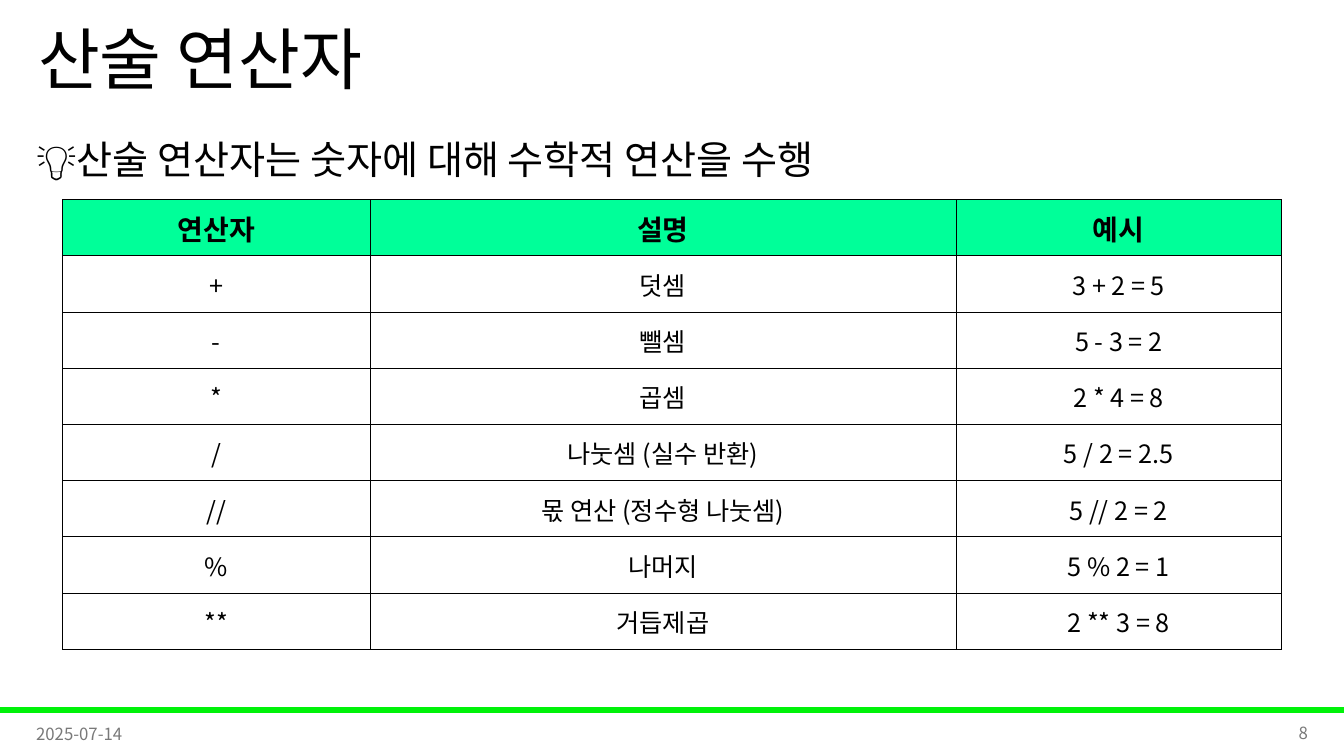
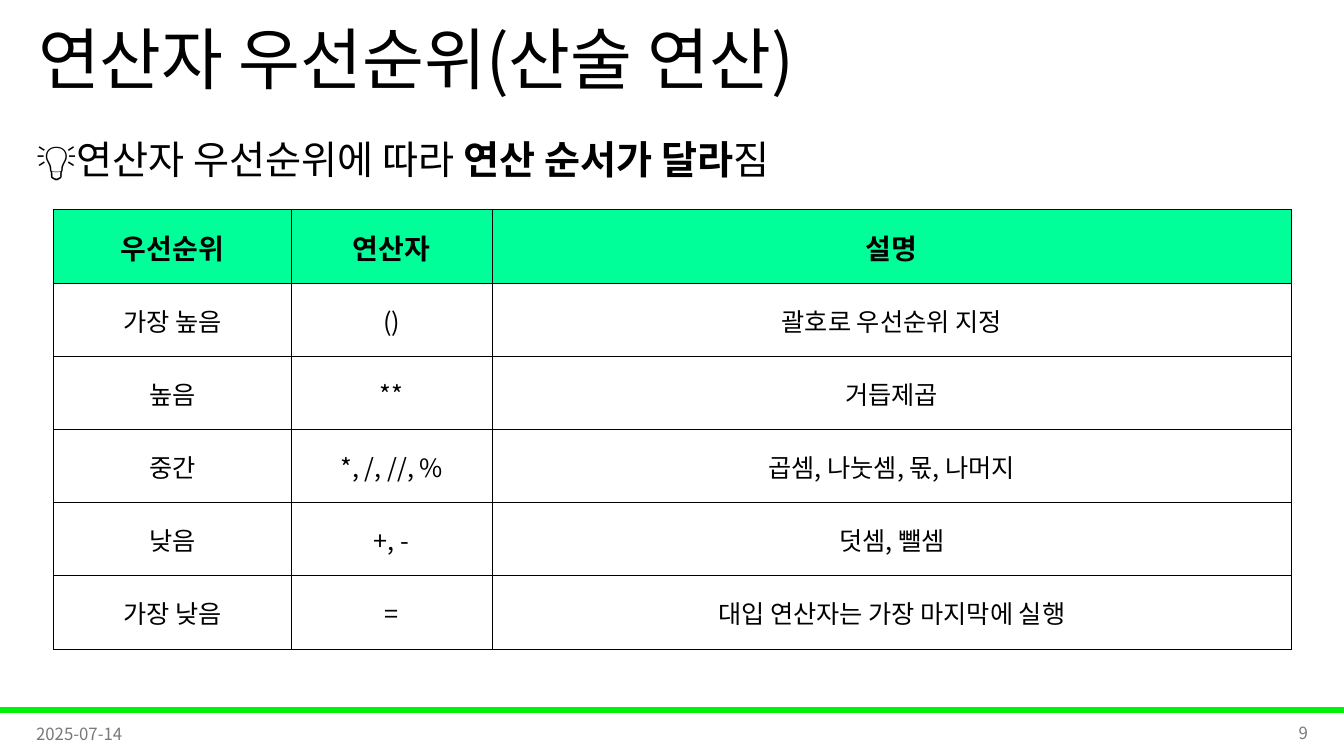
"""Build two slides on arithmetic operators and their precedence."""
from dataclasses import dataclass
from typing import Any, NamedTuple

from lxml.etree import SubElement
from pptx import Presentation
from pptx.dml.color import RGBColor
from pptx.enum.shapes import MSO_SHAPE
from pptx.enum.text import MSO_ANCHOR, PP_ALIGN
from pptx.oxml.ns import qn
from pptx.util import Inches, Pt


@dataclass(frozen=True)
class Theme:
    font: str = "Noto Sans CJK KR"
    ink: str = "000000"
    muted: str = "797979"
    header_fill: str = "00FF99"
    band: str = "00F209"
    title_size: int = 48
    lead_size: int = 28
    header_size: int = 20
    cell_size: int = 18
    footer_size: int = 12
    border_width: float = 0.5


class Area(NamedTuple):
    left: float
    top: float
    width: float
    height: float

    def lengths(self) -> list[int]:
        return [Inches(value) for value in self]


class Span(NamedTuple):
    text: str
    bold: bool = False


class Style(NamedTuple):
    size: int
    color: str
    paragraph: dict[str, Any]


@dataclass(frozen=True)
class Grid:
    area: Area
    columns: tuple[float, ...]
    rows: tuple[tuple[str, ...], ...]


@dataclass(frozen=True)
class Page:
    number: int
    title: str
    lead: tuple[Span, ...]
    grid: Grid


THEME = Theme()
SLIDE_WIDTH, SLIDE_HEIGHT = 13.33, 7.5
DATE = "2025-07-14"
TITLE_AREA = Area(0.28, 0, 11.5, 1.25)
LEAD_AREA = Area(0.26, 1.06, 12.8, 0.88)
BAND_AREA = Area(0, 7.02, SLIDE_WIDTH, 0.05)
DATE_AREA = Area(0.26, 7.08, 3, 0.4)
NUMBER_AREA = Area(10.07, 7.07, 3, 0.4)

TITLE = Style(THEME.title_size, THEME.ink, {"line_spacing": 0.9})
LEAD = Style(THEME.lead_size, THEME.ink, {"line_spacing": 1.5, "space_before": Pt(10)})
DATE_STYLE = Style(THEME.footer_size, THEME.muted, {"alignment": PP_ALIGN.LEFT})
NUMBER_STYLE = Style(THEME.footer_size, THEME.muted, {"alignment": PP_ALIGN.RIGHT})
HEADER = Style(THEME.header_size, THEME.ink, {"alignment": PP_ALIGN.CENTER})
BODY = Style(THEME.cell_size, THEME.ink, {"alignment": PP_ALIGN.CENTER})
CELL_FORMAT = {
    "vertical_anchor": MSO_ANCHOR.MIDDLE,
    "margin_left": Inches(0.01),
    "margin_right": Inches(0.01),
    "margin_top": Inches(0.01),
    "margin_bottom": 0,
}

PAGES = (
    Page(
        8,
        "산술 연산자",
        (Span("💡산술 연산자는 숫자에 대해 수학적 연산을 수행"),),
        Grid(
            Area(0.62, 1.98, 12.09, 4.46),
            (3.05, 5.81, 3.23),
            (
                ("연산자", "설명", "예시"),
                ("+", "덧셈", "3 + 2 = 5"),
                ("-", "뺄셈", "5 - 3 = 2"),
                ("*", "곱셈", "2 * 4 = 8"),
                ("/", "나눗셈 (실수 반환)", "5 / 2 = 2.5"),
                ("//", "몫 연산 (정수형 나눗셈)", "5 // 2 = 2"),
                ("%", "나머지", "5 % 2 = 1"),
                ("**", "거듭제곱", "2 ** 3 = 8"),
            ),
        ),
    ),
    Page(
        9,
        "연산자 우선순위(산술 연산)",
        (Span("💡연산자 우선순위에 따라 "), Span("연산 순서가 달라", True), Span("짐")),
        Grid(
            Area(0.53, 2.08, 12.28, 4.36),
            (2.36, 1.99, 7.93),
            (
                ("우선순위", "연산자", "설명"),
                ("가장 높음", "()", "괄호로 우선순위 지정"),
                ("높음", "**", "거듭제곱"),
                ("중간", "*, /, //, %", "곱셈, 나눗셈, 몫, 나머지"),
                ("낮음", "+, -", "덧셈, 뺄셈"),
                ("가장 낮음", "=", "대입 연산자는 가장 마지막에 실행"),
            ),
        ),
    ),
)


def apply_format(target: Any, values: dict[str, Any]) -> None:
    """Set every named attribute on the target."""
    for name, value in values.items():
        setattr(target, name, value)


def write_text(frame: Any, spans: tuple[Span, ...], style: Style) -> None:
    """Write the spans as one styled paragraph."""
    para = frame.paragraphs[0]
    apply_format(para, style.paragraph)
    for span in spans:
        run = para.add_run()
        run.text = span.text
        apply_format(run.font, {"name": THEME.font, "size": Pt(style.size), "bold": span.bold})
        run.font.color.rgb = RGBColor.from_string(style.color)
        SubElement(run._r.get_or_add_rPr(), qn("a:ea"), typeface=THEME.font)


def add_text(slide: Any, area: Area, spans: tuple[Span, ...], style: Style,
             anchor: MSO_ANCHOR = MSO_ANCHOR.MIDDLE) -> None:
    """Add a wrapping text box."""
    frame = slide.shapes.add_textbox(*area.lengths()).text_frame
    apply_format(frame, {"word_wrap": True, "vertical_anchor": anchor})
    write_text(frame, spans, style)


def add_band(slide: Any) -> None:
    """Draw the green band above the footer."""
    band = slide.shapes.add_shape(MSO_SHAPE.RECTANGLE, *BAND_AREA.lengths())
    band.shadow.inherit = False
    band.fill.solid()
    for target in (band.fill.fore_color, band.line.color):
        target.rgb = RGBColor.from_string(THEME.band)
    band.line.width = Pt(1)


def add_borders(cell: Any) -> None:
    """Outline a table cell on all four sides."""
    properties = cell._tc.get_or_add_tcPr()
    for side in ("lnL", "lnR", "lnT", "lnB"):
        line = SubElement(properties, qn(f"a:{side}"), w=str(Pt(THEME.border_width)))
        fill = SubElement(line, qn("a:solidFill"))
        SubElement(fill, qn("a:srgbClr"), val=THEME.ink)


def add_grid(slide: Any, grid: Grid) -> None:
    """Add a bordered table with a filled header row."""
    table = slide.shapes.add_table(
        len(grid.rows), len(grid.columns), *grid.area.lengths()
    ).table
    apply_format(table, {"first_row": False, "horz_banding": False})
    for column, width in zip(table.columns, grid.columns):
        column.width = Inches(width)
    for index, texts in enumerate(grid.rows):
        is_header = index == 0
        table.rows[index].height = Inches(grid.area.height / len(grid.rows))
        for cell, text in zip(table.rows[index].cells, texts):
            apply_format(cell, CELL_FORMAT)
            add_borders(cell)
            if is_header:
                cell.fill.solid()
                cell.fill.fore_color.rgb = RGBColor.from_string(THEME.header_fill)
            else:
                cell.fill.background()
            write_text(cell.text_frame, (Span(text, is_header),), HEADER if is_header else BODY)


def add_page(deck: Any, page: Page) -> None:
    """Add one slide with its title, lead, table and footer."""
    slide = deck.slides.add_slide(deck.slide_layouts[6])
    add_band(slide)
    add_text(slide, TITLE_AREA, (Span(page.title),), TITLE)
    add_text(slide, DATE_AREA, (Span(DATE),), DATE_STYLE)
    add_text(slide, NUMBER_AREA, (Span(str(page.number)),), NUMBER_STYLE)
    add_text(slide, LEAD_AREA, page.lead, LEAD, MSO_ANCHOR.TOP)
    add_grid(slide, page.grid)


def main() -> None:
    """Build and save the deck."""
    deck = Presentation()
    apply_format(deck, {"slide_width": Inches(SLIDE_WIDTH), "slide_height": Inches(SLIDE_HEIGHT)})
    for page in PAGES:
        add_page(deck, page)
    deck.save("out.pptx")


if __name__ == "__main__":
    main()
